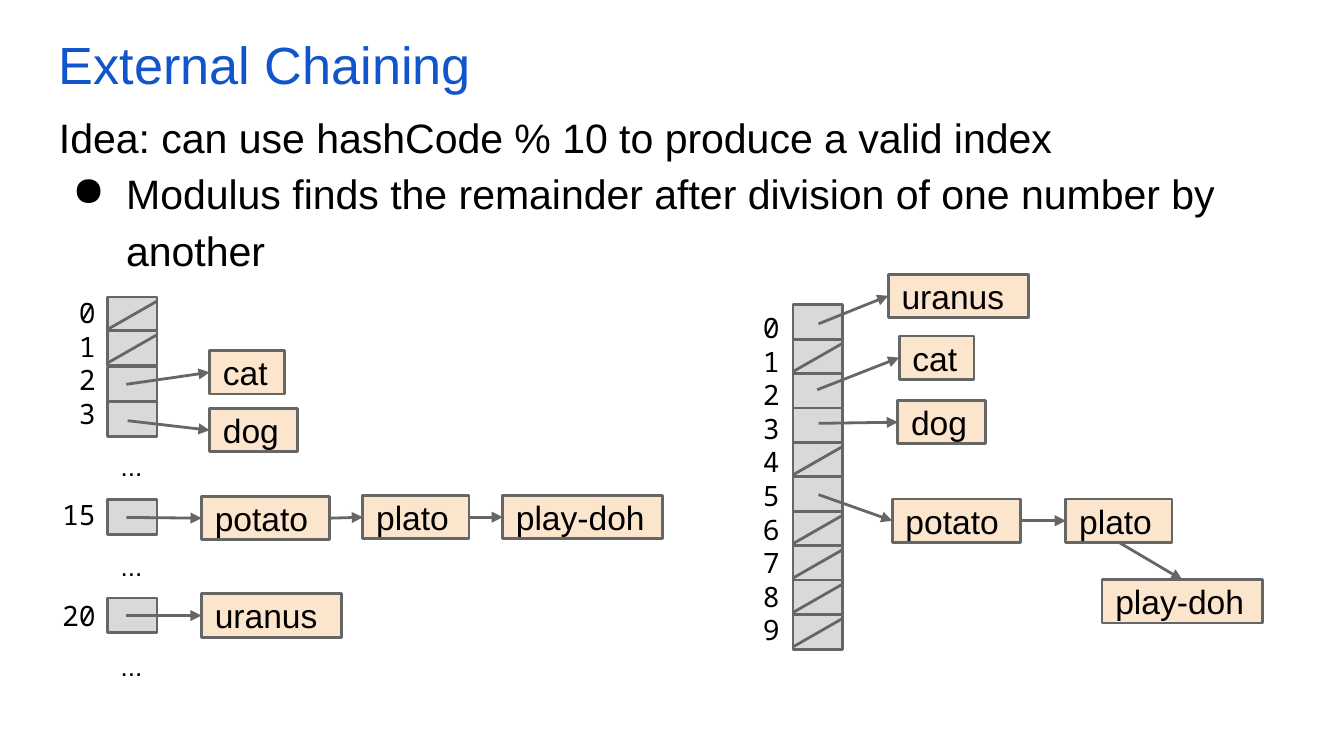
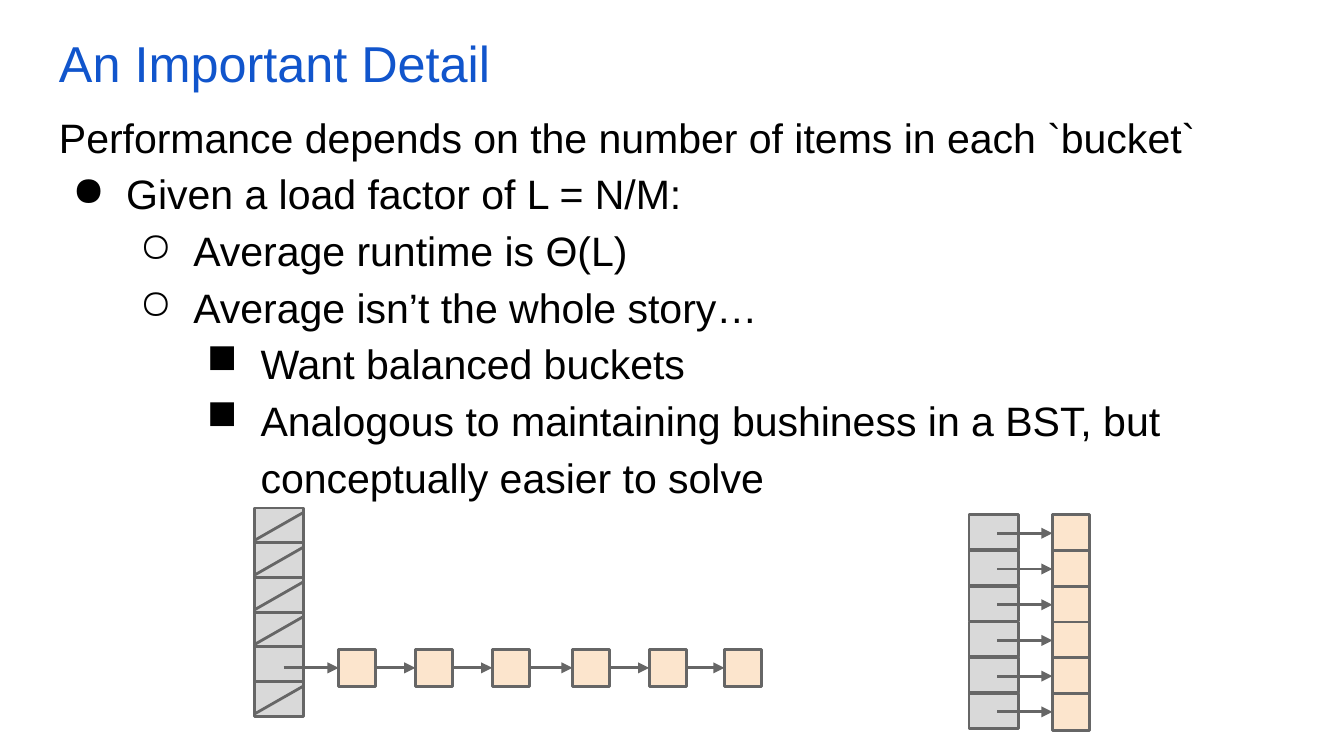
from dataclasses import dataclass

from lxml import etree
from pptx import Presentation
from pptx import util as u
from pptx.dml.color import RGBColor
from pptx.enum import shapes, text
from pptx.oxml import ns


@dataclass(frozen=True)
class Theme:
    title: RGBColor = RGBColor(0x11, 0x55, 0xCC)
    ink: RGBColor = RGBColor(0, 0, 0)
    bucket: RGBColor = RGBColor(0xD9, 0xD9, 0xD9)
    item: RGBColor = RGBColor(0xFC, 0xE5, 0xCD)
    stroke: RGBColor = RGBColor(0x66, 0x66, 0x66)
    sans: str = "Arial"
    mono: str = "Noto Sans Mono"
    body_size: float = 22
    item_size: float = 18
    index_size: float = 15
    dots_size: float = 14
    stroke_width: float = 1.5


theme = Theme()
BUCKET_WIDTH, BUCKET_HEIGHT = 26.6, 18.7
ITEM_HEIGHT = 23.2
ITEM_WIDTHS = {"cat": 40.2, "dog": 47, "plato": 56.9, "potato": 68.6, "uranus": 75, "play-doh": 85.9}
LINK_SIZE = 19.8


def add_box(slide, left, top, width, height, lines=(), size=theme.item_size,
            fill=None, color=theme.ink, font=theme.sans):
    """Add an outlined rectangle if a fill is given, else a plain text box."""
    frame = [u.Pt(value) for value in (left, top, width, height)]
    if fill is None:
        shape = slide.shapes.add_textbox(*frame)
    else:
        shape = slide.shapes.add_shape(shapes.MSO_SHAPE.RECTANGLE, *frame)
        shape.shadow.inherit = False
        shape.fill.solid()
        shape.fill.fore_color.rgb = fill
        shape.line.color.rgb = theme.stroke
        shape.line.width = u.Pt(theme.stroke_width)
        shape.text_frame.vertical_anchor = text.MSO_ANCHOR.MIDDLE
    text_frame = shape.text_frame
    text_frame.word_wrap = True
    text_frame.margin_left = text_frame.margin_right = u.Pt(7.2)
    text_frame.margin_top = text_frame.margin_bottom = u.Pt(7.2)
    text_frame.text = "\n".join(lines)
    for paragraph in text_frame.paragraphs:
        paragraph.alignment = text.PP_ALIGN.LEFT
        paragraph.font.name = font
        paragraph.font.size = u.Pt(size)
        paragraph.font.color.rgb = color
    return shape


def add_line(slide, start_x, start_y, end_x, end_y, arrow=True):
    ends = [u.Pt(value) for value in (start_x, start_y, end_x, end_y)]
    connector = slide.shapes.add_connector(shapes.MSO_CONNECTOR.STRAIGHT, *ends)
    connector.line.color.rgb = theme.stroke
    connector.line.width = u.Pt(theme.stroke_width)
    if arrow:
        etree.SubElement(connector.line._get_or_add_ln(), ns.qn("a:tailEnd"), type="triangle")
    etree.SubElement(connector._element.spPr, ns.qn("a:effectLst"))


presentation = Presentation()
presentation.slide_width, presentation.slide_height = u.Pt(720), u.Pt(405)

# Titles and body text: each body line is (bullet depth, words)
BULLETS = {1: "●", 2: "○", 3: "■"}
pages = [
    ("External Chaining", 28, 95, [
        (0, "Idea: can use hashCode % 10 to produce a valid index"),
        (1, "Modulus finds the remainder after division of one number by another"),
    ]),
    ("An Important Detail", 27, 217.4, [
        (0, "Performance depends on the number of items in each `bucket`"),
        (1, "Given a load factor of L = N/M:"),
        (2, "Average runtime is Θ(L)"),
        (2, "Average isn’t the whole story…"),
        (3, "Want balanced buckets"),
        (3, "Analogous to maintaining bushiness in a BST, but conceptually easier to solve"),
    ]),
]
slides = []
for title, title_size, body_height, outline in pages:
    slide = presentation.slides.add_slide(presentation.slide_layouts[6])
    slides.append(slide)
    add_box(slide, 24.5, 10.1, 671, 45.4, [title], title_size, color=theme.title)
    body = add_box(slide, 24.5, 49, 671, body_height, [words for _, words in outline], theme.body_size)
    for paragraph, (depth, _) in zip(body.text_frame.paragraphs, outline):
        paragraph.line_spacing = 1.15
        if depth:
            paragraph.level = depth - 1
            properties = paragraph._p.get_or_add_pPr()
            properties.set("marL", str(u.Pt(36 * depth)))
            properties.set("indent", str(u.Pt(-28.8)))
            bullet = etree.Element(ns.qn("a:buChar"), char=BULLETS[depth])
            properties.find(ns.qn("a:defRPr")).addprevious(bullet)
chaining, detail = slides

# Bucket arrays: slide, left, tops, rows that are empty
bucket_arrays = [
    (chaining, 57.6, [159.1, 177.1, 196.6, 215.3, 267.8, 320.4], {0, 1}),
    (chaining, 424.8, [163.3 + 18.43 * row for row in range(10)], {1, 4, 6, 7, 8, 9}),
    (detail, 136.2, [272.2 + 18.6 * row for row in range(6)], {0, 1, 2, 3, 5}),
    (detail, 519.1, [275.8 + 19.14 * row for row in range(6)], set()),
]
for slide, left, tops, empty_rows in bucket_arrays:
    for top in tops:
        add_box(slide, left, top, BUCKET_WIDTH, BUCKET_HEIGHT, fill=theme.bucket)
    for row in sorted(empty_rows):
        add_line(slide, left, tops[row] + 17.4, left + BUCKET_WIDTH, tops[row] + 2.2, arrow=False)

# Index columns: a gap in the numbering leaves two lines free
index_columns = [
    (0, 151.2, 58.3, 253, [0, 1, 2, 3, 15, 20]),
    (398.2, 159.1, 26.6, 198, range(10)),
]
for left, top, width, height, indexes in index_columns:
    column = add_box(chaining, left, top, width, height, [str(index) for index in indexes],
                     theme.index_size, font=theme.mono)
    for paragraph, index in zip(column.text_frame.paragraphs, indexes):
        paragraph.alignment = text.PP_ALIGN.RIGHT
        if index > 9:
            paragraph.space_before = u.Pt(36)
for top in (234, 287.6, 341.3):
    add_box(chaining, 57.6, top, BUCKET_WIDTH, BUCKET_HEIGHT, ["..."], theme.dots_size)

# Word chains: start of the first arrow, then (word, left, top) for each item
chains = [
    (67.7, 205.9, [("cat", 112.3, 187.9)]),
    (68.4, 225.4, [("dog", 112.3, 218.9)]),
    (67.7, 277.2, [("potato", 108, 266), ("plato", 194.4, 265.5), ("play-doh", 269.3, 265.5)]),
    (67.7, 329.8, [("uranus", 108, 318.2)]),
    (438.5, 173.5, [("uranus", 475.9, 146.9)]),
    (437.8, 208.8, [("cat", 481.7, 180)]),
    (438.5, 226.8, [("dog", 481, 214.6)]),
    (438.5, 265, [("potato", 478, 267.4), ("plato", 571, 267.4), ("play-doh", 590.4, 310.6)]),
]
for start_x, start_y, items in chains:
    previous_top = None
    for word, left, top in items:
        width = ITEM_WIDTHS[word]
        add_box(chaining, left, top, width, ITEM_HEIGHT, [word], fill=theme.item)
        if previous_top is not None and top > previous_top + ITEM_HEIGHT:
            add_line(chaining, start_x - previous_width / 2, previous_top + ITEM_HEIGHT,
                     left + width / 2, top)
        else:
            add_line(chaining, start_x, start_y, left, top + ITEM_HEIGHT / 2)
        start_x, start_y = left + width, top + ITEM_HEIGHT / 2
        previous_top, previous_width = top, width

# One long chain against six balanced buckets
start_x = 151.9
for left in (181.4, 222.5, 263.7, 306.7, 347.8, 388.1):
    add_box(detail, left, 347.9, LINK_SIZE, LINK_SIZE, fill=theme.item)
    add_line(detail, start_x, 357.8, left, 357.8)
    start_x = left + LINK_SIZE
for row in range(6):
    top = 275.8 + 19.14 * row
    add_box(detail, 563.8, top, LINK_SIZE, LINK_SIZE, fill=theme.item)
    add_line(detail, 534.2, top + LINK_SIZE / 2, 563.8, top + LINK_SIZE / 2)

presentation.save("out.pptx")
